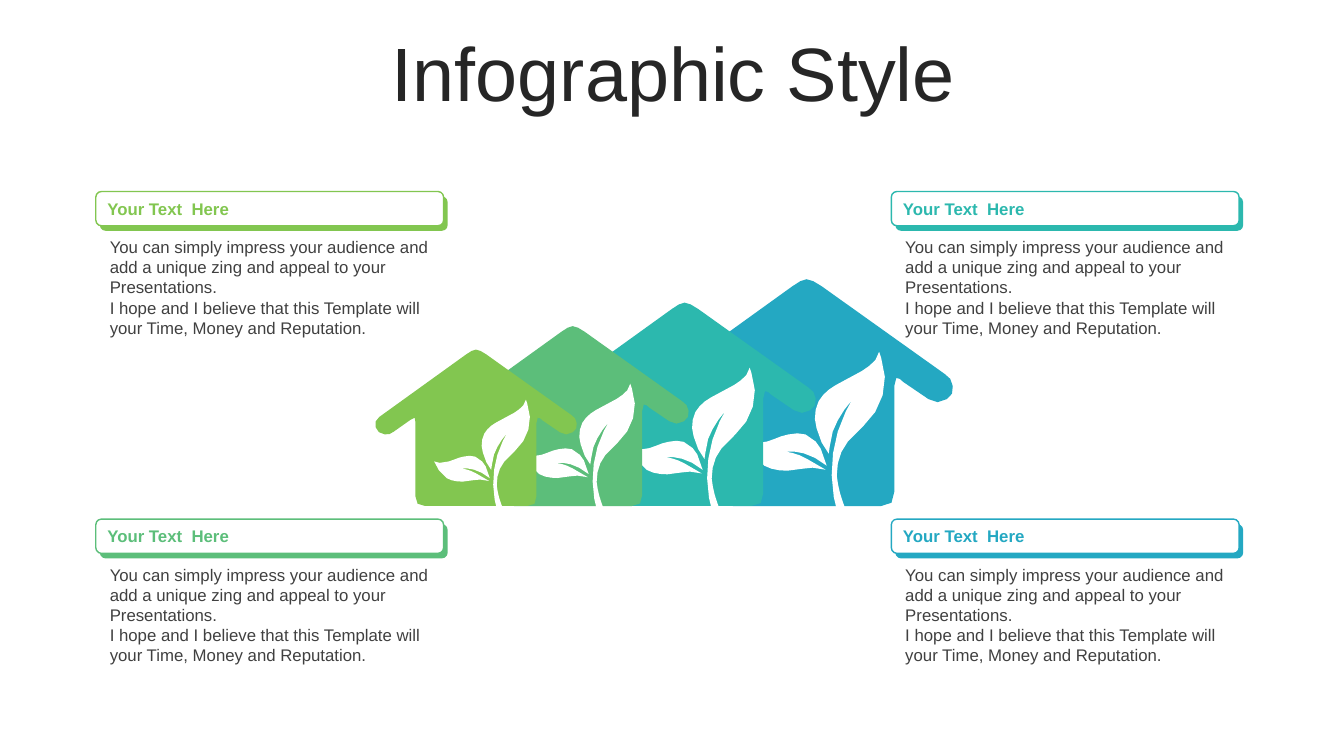
"""Build a slide with four growing eco houses and four captions."""
import math
from pptx import Presentation, util as u
from pptx.dml.color import RGBColor
from pptx.enum import shapes, text

TITLE = "Infographic Style"
LABEL = "Your Text  Here"
BODY = [
    "You can simply impress your audience and add a unique zing and appeal to your Presentations.",
    "I hope and I believe that this Template will your Time, Money and Reputation.",
]
FONT, WHITE, DARK, GREY = "Arial", "FFFFFF", "262626", "404040"
LIME, GREEN, TEAL, BLUE = "82C650", "5CBE7A", "2CB8AE", "24A8C2"

# (left, width, colour), back to front
HOUSES = [(6.55, 2.9, BLUE), (5.49, 2.6, TEAL), (4.53, 2.3, GREEN), (3.72, 2.0, LIME)]
CAPTIONS = [[LIME, TEAL], [GREEN, BLUE]]
CAPTION_LEFT, CAPTION_TOP = 0.95, 1.9
COLUMN_STEP, ROW_STEP = 7.89, 3.25
BAR_W, BAR_H, BODY_H = 3.45, 0.34, 1.11
GROUND = 5.02

# Outlines on a 290 by 225 grid: pairs are line ends, sixes are Bezier curves.
GRID_W, GRID_H = 290, 225
HOUSE = [
    (145, 0), (149, 0, 154, 3, 160, 7), (282, 94),
    (286, 97, 290, 100, 290, 106), (291, 112, 289, 116, 284, 119),
    (278, 123, 272, 123, 266, 119), (241, 102),
    (239, 100, 236, 97, 234, 98), (232, 106),
    (232, 211), (232, 221, 229, 225, 219, 225), (72, 225),
    (62, 225, 58, 221, 58, 211), (58, 104), (57, 98),
    (51, 101), (27, 118),
    (23, 121, 19, 123, 14, 122), (8, 121, 2, 118, 1, 112),
    (-1, 106, 1, 100, 6, 97), (131, 7), (137, 3, 141, 0, 145, 0),
]
SMALL_LEAF = [
    (85, 161), (92, 174), (103, 185),
    (110, 189, 118, 190, 126, 190), (141, 188), (151, 187), (164, 189),
    (145, 178), (138, 174, 131, 172, 124, 171), (134, 170, 149, 172, 165, 185),
    (159, 168), (154, 161), (144, 154), (139, 152, 133, 153, 127, 154),
    (120, 155, 113, 159, 106, 161), (93, 163), (85, 161),
]
STEM_LEAF = [
    (217, 72), (215, 82, 207, 86, 200, 91), (174, 105),
    (167, 109, 161, 114, 157, 121), (153, 129, 152, 139, 155, 148),
    (160, 162), (167, 173), (168, 166), (171, 151),
    (175, 140, 182, 129, 190, 120), (184, 131),
    (171, 157, 167, 188, 172, 216), (176, 233), (185, 232), (181, 221),
    (178, 213, 176, 204, 175, 195), (175, 182, 178, 171, 186, 161),
    (201, 146), (220, 129, 228, 103, 219, 78), (217, 72),
]


def rgb(value):
    return RGBColor.from_string(value)


def paint(sp, fill, line=None):
    sp.shadow.inherit = False
    sp.fill.solid()
    sp.fill.fore_color.rgb = rgb(fill)
    if line:
        sp.line.color.rgb = rgb(line)
        sp.line.width = u.Pt(1)
    else:
        sp.line.fill.background()


def write(sp, lines, size, colour, bold=False, align=text.PP_ALIGN.LEFT,
          anchor=text.MSO_ANCHOR.MIDDLE):
    tf = sp.text_frame
    tf.word_wrap = True
    tf.auto_size = text.MSO_AUTO_SIZE.NONE
    tf.vertical_anchor = anchor
    tf.text = "\n".join(lines)
    for p in tf.paragraphs:
        p.alignment = align
        p.font.name, p.font.size, p.font.bold = FONT, u.Pt(size), bold
        p.font.color.rgb = rgb(colour)


def flatten(outline):
    points = [outline[0]]
    for seg in outline[1:]:
        start = points[-1]
        if len(seg) == 2:
            points.append(seg)
            continue
        steps = min(4, 2 + int(math.dist(start, seg[-2:]) // 20))
        for t in (i / steps for i in range(1, steps + 1)):
            weights = (1 - t) ** 3, 3 * t * (1 - t) ** 2, 3 * t * t * (1 - t), t ** 3
            points.append(tuple(
                sum(w * v for w, v in zip(weights, (start[axis], *seg[axis::2])))
                for axis in (0, 1)))
    return points[:-1] if points[-1] == points[0] else points


def draw(s, outlines, left, width, colour):
    unit = width / GRID_W
    builder = None
    for outline in outlines:
        points = [(u.Inches(left + x * unit), u.Inches(GROUND + (y - GRID_H) * unit))
                  for x, y in flatten(outline)]
        if builder is None:
            builder = s.shapes.build_freeform(*points[0])
        else:
            builder.move_to(*points[0])
        builder.add_line_segments(points[1:], close=True)
    paint(builder.convert_to_shape(), colour)


def bar(s, left, top, fill, line=None):
    sp = s.shapes.add_shape(shapes.MSO_SHAPE.ROUNDED_RECTANGLE,
                            *map(u.Inches, (left, top, BAR_W, BAR_H)))
    paint(sp, fill, line)
    return sp


def caption(s, left, top, colour):
    bar(s, left + 0.04, top + 0.05, colour)
    write(bar(s, left, top, WHITE, colour), [LABEL], 12, colour, bold=True)
    body = s.shapes.add_textbox(*map(u.Inches, (left + 0.04, top + 0.4, BAR_W, BODY_H)))
    write(body, BODY, 12, GREY, anchor=text.MSO_ANCHOR.TOP)


def main():
    prs = Presentation()
    prs.slide_width, prs.slide_height = u.Inches(13.33), u.Inches(7.5)
    s = prs.slides.add_slide(prs.slide_layouts[5])
    title = s.shapes.title
    title.left, title.top, title.width, title.height = map(u.Inches, (0.35, 0.37, 12.66, 0.79))
    write(title, [TITLE], 54, DARK, align=text.PP_ALIGN.CENTER)
    title.text_frame.paragraphs[0].line_spacing = 0.9
    for left, width, colour in HOUSES:
        draw(s, [HOUSE], left, width, colour)
        draw(s, [SMALL_LEAF, STEM_LEAF], left, width, WHITE)
    for row, colours in enumerate(CAPTIONS):
        for column, colour in enumerate(colours):
            caption(s, CAPTION_LEFT + column * COLUMN_STEP, CAPTION_TOP + row * ROW_STEP, colour)
    prs.save("out.pptx")


if __name__ == "__main__":
    main()
